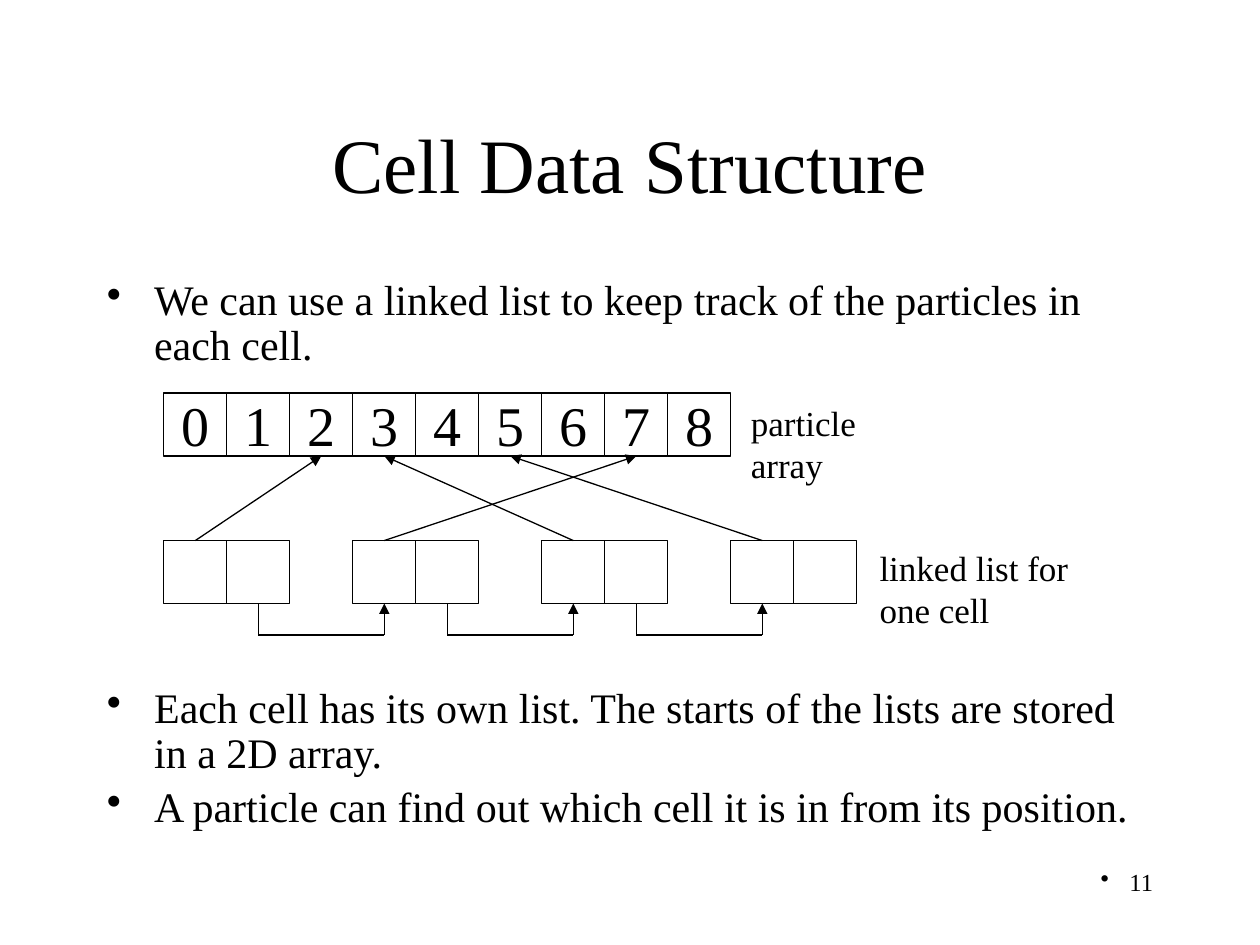
from dataclasses import dataclass
from typing import Optional

import pptx
import pptx.dml.color
import pptx.enum.shapes
import pptx.enum.text
import pptx.oxml
import pptx.oxml.ns
import pptx.util

Pt = pptx.util.Pt
ALIGN = pptx.enum.text.PP_ALIGN
ANCHOR = pptx.enum.text.MSO_ANCHOR
COLORS = {"ink": "000000"}
FONT = "Times New Roman"
CELL = 36
LEFT, ARRAY_TOP, LIST_TOP = 93.6, 224.6, 308.9
LINK_DROP = 18
NODE_STEP = 3 * CELL
NODE_TARGETS = [2, 7, 3, 5]
TOP, BOTTOM = 0, 2


@dataclass
class TextBlock:
    x: float
    y: float
    w: float
    h: float
    lines: list[str]
    size: float
    align: int = ALIGN.LEFT
    anchor: int = ANCHOR.TOP
    indent: float = 0
    spacing: float = 1.0


BLOCKS = [
    TextBlock(516, 492, 150, 36, ["11"], 14, align=ALIGN.RIGHT, indent=16.5),
    TextBlock(54, 48, 612, 90, ["Cell Data Structure"], 44,
              align=ALIGN.CENTER, anchor=ANCHOR.MIDDLE),
    TextBlock(54, 156, 612, 74,
              ["We can use a linked list to keep track of the particles in each cell."],
              24, indent=27, spacing=0.9),
    TextBlock(422, 226, 110, 31, ["particle array"], 20),
    TextBlock(495.5, 309, 129, 31, ["linked list for one cell"], 20),
    TextBlock(54, 389, 612, 90,
              ["Each cell has its own list. The starts of the lists are stored in a 2D array.",
               "A particle can find out which cell it is in from its position."],
              24, indent=27, spacing=0.9),
]


def rgb(name: str):
    return pptx.dml.color.RGBColor.from_string(COLORS[name])


def set_attrs(target, values: dict) -> None:
    for name, value in values.items():
        setattr(target, name, value)


def add_run(p, text: str, size: float) -> None:
    r = p.add_run()
    r.text = text
    set_attrs(r.font, {"name": FONT, "size": Pt(size)})
    r.font.color.rgb = rgb("ink")


def add_bullet(p, indent: float) -> None:
    props = p._p.get_or_add_pPr()
    props.set("marL", str(Pt(indent)))
    props.set("indent", str(-Pt(indent)))
    bullet = pptx.oxml.parse_xml(
        f'<a:buChar {pptx.oxml.ns.nsdecls("a")} char="•"/>')
    props.append(bullet)


def add_text(s, block: TextBlock) -> None:
    sp = s.shapes.add_textbox(Pt(block.x), Pt(block.y), Pt(block.w), Pt(block.h))
    tf = sp.text_frame
    set_attrs(tf, {"word_wrap": True, "vertical_anchor": block.anchor})
    for i, line in enumerate(block.lines):
        p = tf.add_paragraph() if i else tf.paragraphs[0]
        set_attrs(p, {"alignment": block.align, "line_spacing": block.spacing,
                      "space_before": Pt(0.2 * block.size)})
        if block.indent:
            add_bullet(p, block.indent)
        add_run(p, line, block.size)


def add_cell(s, x: float, y: float, label: str = ""):
    sp = s.shapes.add_shape(pptx.enum.shapes.MSO_SHAPE.RECTANGLE,
                            Pt(x), Pt(y), Pt(CELL), Pt(CELL))
    sp.shadow.inherit = False
    sp.fill.background()
    sp.line.color.rgb = rgb("ink")
    sp.line.width = Pt(0.75)
    if label:
        tf = sp.text_frame
        set_attrs(tf, {"word_wrap": False, "vertical_anchor": ANCHOR.MIDDLE})
        p = tf.paragraphs[0]
        p.alignment = ALIGN.CENTER
        add_run(p, label, 32)
    return sp


def add_line(s, start: tuple[float, float], end: tuple[float, float],
             begin: Optional[tuple] = None, finish: Optional[tuple] = None,
             arrow: bool = False) -> None:
    line = s.shapes.add_connector(pptx.enum.shapes.MSO_CONNECTOR.STRAIGHT,
                                  *map(Pt, start + end))
    line.line.color.rgb = rgb("ink")
    line.line.width = Pt(0.75)
    if begin:
        line.begin_connect(*begin)
    if finish:
        line.end_connect(*finish)
    ns = pptx.oxml.ns.nsdecls("a")
    if arrow:
        line.line._get_or_add_ln().append(
            pptx.oxml.parse_xml(f'<a:tailEnd {ns} type="triangle"/>'))
    line._element.spPr.append(pptx.oxml.parse_xml(f"<a:effectLst {ns}/>"))


def add_link(s, pointer, target, start_x: float, end_x: float) -> None:
    y = LIST_TOP + CELL
    low = y + LINK_DROP
    add_line(s, (start_x, y), (start_x, low), begin=(pointer, BOTTOM))
    add_line(s, (start_x, low), (end_x, low))
    add_line(s, (end_x, low), (end_x, y), finish=(target, BOTTOM), arrow=True)


def add_diagram(s) -> None:
    half = CELL / 2
    array = [add_cell(s, LEFT + i * CELL, ARRAY_TOP, str(i)) for i in range(9)]
    xs = [LEFT + i * NODE_STEP for i in range(len(NODE_TARGETS))]
    nodes = [(add_cell(s, x, LIST_TOP), add_cell(s, x + CELL, LIST_TOP)) for x in xs]
    for i in range(len(nodes) - 1):
        add_link(s, nodes[i][1], nodes[i + 1][0], xs[i] + CELL + half, xs[i + 1] + half)
    for x, node, index in zip(xs, nodes, NODE_TARGETS):
        add_line(s, (x + half, LIST_TOP),
                 (LEFT + index * CELL + half, ARRAY_TOP + CELL),
                 begin=(node[0], TOP), finish=(array[index], BOTTOM), arrow=True)


def main() -> None:
    prs = pptx.Presentation()
    set_attrs(prs, {"slide_width": Pt(720), "slide_height": Pt(540)})
    s = prs.slides.add_slide(prs.slide_layouts[6])
    add_diagram(s)
    for block in BLOCKS:
        add_text(s, block)
    prs.save("out.pptx")


if __name__ == "__main__":
    main()
